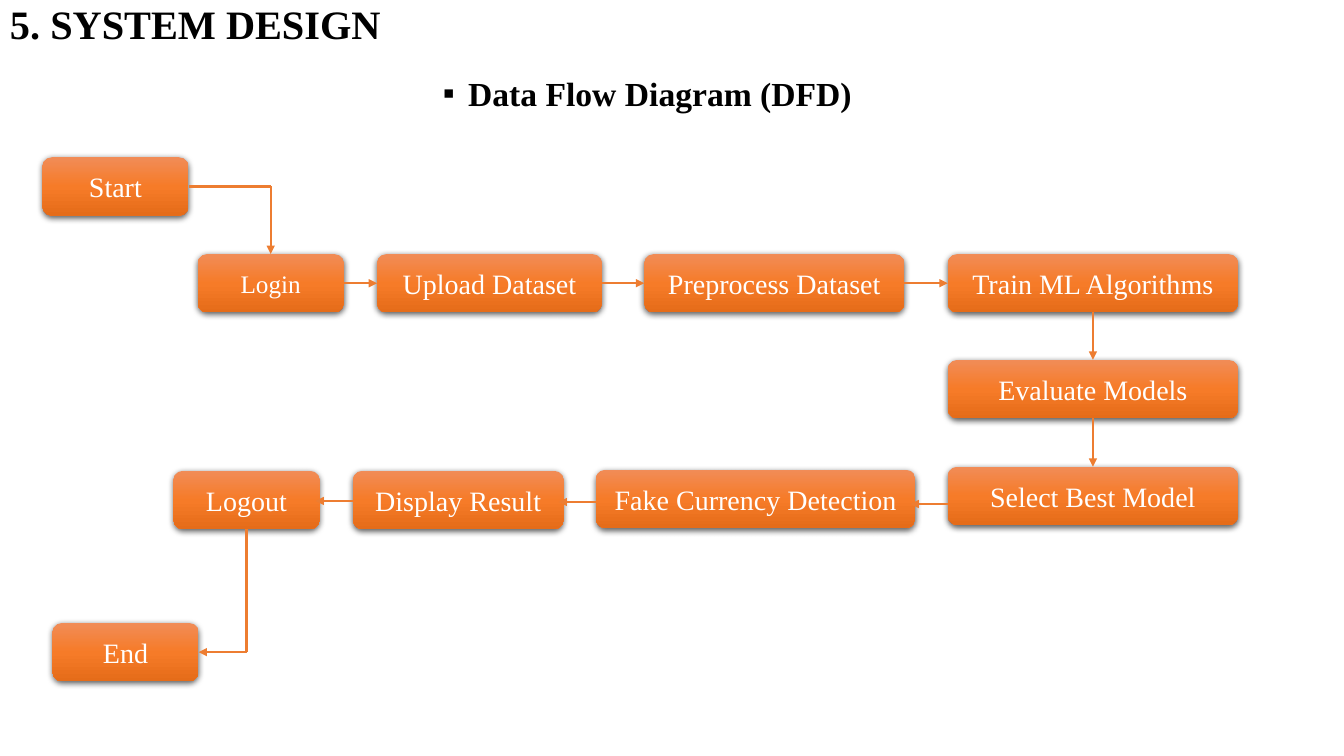
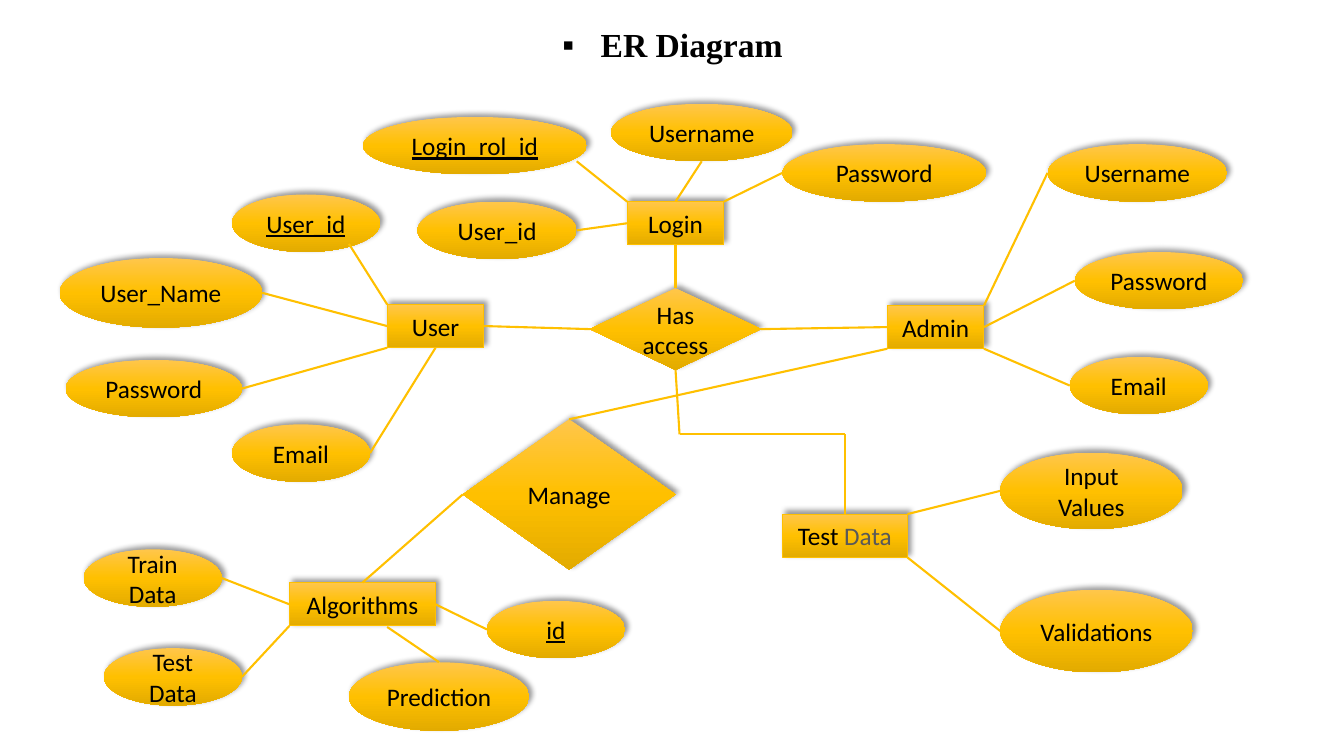
from lxml.etree import SubElement
from pptx import Presentation
from pptx.dml.color import RGBColor
from pptx.enum.shapes import MSO_CONNECTOR, MSO_SHAPE
from pptx.enum.text import MSO_ANCHOR, PP_ALIGN
from pptx.oxml.ns import qn
from pptx.util import Inches, Pt

COLORS = {
    "black": "000000", "white": "FFFFFF", "gray": "595959",
    "orange": "ED7D31", "orange_top": "F18C57", "orange_mid": "F67B28", "orange_low": "E56C19",
    "gold": "FFC000", "gold_top": "FFC64B", "gold_mid": "FFC000", "gold_low": "E3AB00",
}
SERIF, SANS = "Times New Roman", "Calibri"
SHADOWS = {"orange": (63, 4.5, 1.5, 90), "gold": (40, 4, 3, 315)}
ANCHORS = {
    "top": (0.5, 0), "left": (0, 0.5), "bottom": (0.5, 1), "right": (1, 0.5),
    "nw": (0, 0), "ne": (1, 0), "sw": (0, 1), "se": (1, 1), "arc_se": (0.79, 0.86),
}


def add_span(para, text, size=18, font=SANS, color="black", bold=False, underline=False):
    span = para.add_run()
    span.text = text
    span.font.size = Pt(size)
    span.font.name = font
    span.font.bold = bold
    span.font.underline = underline
    span.font.color.rgb = RGBColor.from_string(COLORS[color])


class DiagramDeck:
    """Hold the deck style and the current page, and draw diagram elements on it."""

    def __init__(self):
        self.deck = Presentation()
        self.deck.slide_width, self.deck.slide_height = Inches(13.33), Inches(7.5)
        self.page = None
        self.theme = None

    def new_page(self, theme):
        self.page = self.deck.slides.add_slide(self.deck.slide_layouts[6])
        self.theme = theme

    def heading(self, text, left, top, width, height, size=24, indent=0):
        box = self.page.shapes.add_textbox(*map(Inches, (left, top, width, height)))
        box.text_frame.word_wrap = True
        box.text_frame.vertical_anchor = MSO_ANCHOR.MIDDLE
        para = box.text_frame.paragraphs[0]
        para.line_spacing = 0.9
        if indent:
            para.alignment = PP_ALIGN.CENTER
            properties = para._p.get_or_add_pPr()
            properties.set("marL", str(Inches(indent)))
            properties.set("indent", str(-Inches(indent)))
            SubElement(properties, qn("a:buFont"), typeface=SERIF)
            SubElement(properties, qn("a:buChar"), char="▪")
        add_span(para, text, size=size, font=SERIF, bold=True)

    def node(self, kind, text, left, top, width, height, outline=False, **style):
        box = self.page.shapes.add_shape(kind, *map(Inches, (left, top, width, height)))
        self.paint(box)
        if outline:
            box.line.color.rgb = RGBColor.from_string(COLORS[self.theme])
            box.line.width = Pt(0.75)
        else:
            box.line.fill.background()
        para = box.text_frame.paragraphs[0]
        para.alignment = PP_ALIGN.CENTER
        add_span(para, text, **style)
        return box

    def paint(self, box):
        box.fill.gradient()
        box.fill.gradient_angle = 270
        stops = box._element.spPr.find(qn("a:gradFill")).find(qn("a:gsLst"))
        for stop in list(stops):
            stops.remove(stop)
        for position, level in ((0, "top"), (50000, "mid"), (100000, "low")):
            stop = SubElement(stops, qn("a:gs"), pos=str(position))
            SubElement(stop, qn("a:srgbClr"), val=COLORS[f"{self.theme}_{level}"])
        box.shadow.inherit = False
        alpha, blur, distance, angle = SHADOWS[self.theme]
        shadow = SubElement(
            box._element.spPr.find(qn("a:effectLst")), qn("a:outerShdw"),
            blurRad=str(Pt(blur)), dist=str(Pt(distance)), dir=str(angle * 60000),
            algn="ctr", rotWithShape="0")
        tone = SubElement(shadow, qn("a:srgbClr"), val=COLORS["black"])
        SubElement(tone, qn("a:alpha"), val=str(alpha * 1000))

    def line(self, start, end, arrow=False):
        link = self.page.shapes.add_connector(
            MSO_CONNECTOR.STRAIGHT, *map(Inches, (*start, *end)))
        link.line.color.rgb = RGBColor.from_string(COLORS[self.theme])
        link.line.width = Pt(1.5)
        if arrow:
            SubElement(link.line._get_or_add_ln(), qn("a:tailEnd"), type="triangle")
        SubElement(link._element.spPr, qn("a:effectLst"))


def anchor(box, side):
    across, down = ANCHORS[side]
    return ((box.left + across * box.width) / Inches(1),
            (box.top + down * box.height) / Inches(1))


def build_data_flow(diagram):
    diagram.new_page("orange")
    diagram.heading("5. SYSTEM DESIGN", 0, -0.03, 11.98, 0.58, size=28.8)
    diagram.heading("Data Flow Diagram (DFD)", 0.42, 0.72, 12, 0.46, indent=0.25)
    steps = [
        ("Start", 0.42, 1.56, 1.45), ("Login", 1.96, 2.52, 1.45),
        ("Upload Dataset", 3.74, 2.52, 2.23), ("Preprocess Dataset", 6.39, 2.52, 2.58),
        ("Train ML Algorithms", 9.4, 2.52, 2.88), ("Evaluate Models", 9.4, 3.57, 2.88),
        ("Select Best Model", 9.4, 4.63, 2.88), ("Fake Currency Detection", 5.91, 4.66, 3.17),
        ("Display Result", 3.5, 4.67, 2.09), ("Logout", 1.72, 4.67, 1.45),
        ("End", 0.52, 6.18, 1.45),
    ]
    boxes = {}
    for label, left, top, width in steps:
        boxes[label] = diagram.node(
            MSO_SHAPE.ROUNDED_RECTANGLE, label, left, top, width, 0.58,
            size=18 if label == "Login" else 20, font=SERIF, color="white")

    names = [step[0] for step in steps]
    for first, second in zip(names[1:4], names[2:5]):
        diagram.line(anchor(boxes[first], "right"), anchor(boxes[second], "left"), arrow=True)
    for first, second in zip(names[4:6], names[5:7]):
        diagram.line(anchor(boxes[first], "bottom"), anchor(boxes[second], "top"), arrow=True)
    for name, height in zip(names[6:9], (5, 4.98, 4.97)):
        left = anchor(boxes[name], "left")[0]
        diagram.line((left, height), (left - 0.37, height), arrow=True)

    start, login = anchor(boxes["Start"], "right"), anchor(boxes["Login"], "top")
    logout, end = anchor(boxes["Logout"], "bottom"), anchor(boxes["End"], "right")
    for begin, corner, finish in ((start, (login[0], start[1]), login),
                                  (logout, (logout[0], end[1]), end)):
        diagram.line(begin, corner)
        diagram.line(corner, finish, arrow=True)


def build_entity_relations(diagram):
    diagram.new_page("gold")
    diagram.heading("ER Diagram", 0.92, 0.09, 11.5, 0.75, indent=0.38)
    entities = {}
    for label, left, top, width in (
            ("Login", 6.22, 2, 0.96), ("Admin", 8.8, 3.03, 0.96), ("User", 3.84, 3.02, 0.96),
            ("Test", 7.76, 5.1, 1.24), ("Algorithms", 2.87, 5.78, 1.45)):
        entities[label] = diagram.node(
            MSO_SHAPE.RECTANGLE, label, left, top, width, 0.43, outline=True)
    add_span(entities["Test"].text_frame.paragraphs[0], " Data", color="gray")
    access = diagram.node(MSO_SHAPE.DIAMOND, "Has access", 5.85, 2.86, 1.7, 0.81)
    manage = diagram.node(MSO_SHAPE.DIAMOND, "Manage", 4.59, 4.16, 2.11, 1.49)

    attributes = [
        ("Login", "nw", "Login_rol_id", 3.6, 1.16, 2.22, 0.57, (5.72, 1.6)),
        ("Login", "top", "Username", 6.06, 1.03, 1.8, 0.57, "bottom"),
        ("Login", "ne", "Password", 7.76, 1.43, 2.02, 0.57, "left"),
        ("User", "nw", "User_id", 2.3, 1.93, 1.47, 0.57, "arc_se"),
        ("Login", "left", "User_id", 4.14, 2, 1.58, 0.57, "right"),
        ("User", "left", "User_Name", 0.59, 2.56, 2.01, 0.69, "right"),
        ("User", "sw", "Password", 0.65, 3.57, 1.75, 0.57, "right"),
        ("User", "bottom", "Email", 2.3, 4.21, 1.37, 0.57, "right"),
        ("Algorithms", "left", "Train Data", 0.83, 5.45, 1.37, 0.57, "right"),
        ("Algorithms", "sw", "Test Data", 1.03, 6.43, 1.37, 0.57, "right"),
        ("Algorithms", "right", "id", 4.83, 5.96, 1.37, 0.57, "left"),
        ("Algorithms", (3.84, 6.22), "Prediction", 3.46, 6.57, 1.79, 0.68, "top"),
        ("Test", "ne", "Input Values", 9.92, 4.49, 1.81, 0.76, "left"),
        ("Test", "se", "Validations", 9.92, 5.85, 1.91, 0.82, "left"),
        ("Admin", "ne", "Username", 10.39, 1.43, 1.78, 0.57, "left"),
        ("Admin", "right", "Password", 10.66, 2.5, 1.67, 0.57, "left"),
        ("Admin", "se", "Email", 10.61, 3.54, 1.37, 0.57, "left"),
    ]
    keys = {("Login", "Login_rol_id"), ("User", "User_id"), ("Algorithms", "id")}
    links = [
        (access, "top", entities["Login"], "bottom"),
        (access, "right", entities["Admin"], "left"),
        (access, "left", entities["User"], "right"),
        (manage, "left", entities["Algorithms"], "top"),
        (manage, "top", entities["Admin"], "sw"),
    ]
    for owner, owner_side, label, left, top, width, height, side in attributes:
        oval = diagram.node(MSO_SHAPE.OVAL, label, left, top, width, height,
                            underline=(owner, label) in keys)
        links.append((oval, side, entities[owner], owner_side))
    for first, first_side, second, second_side in links:
        ends = [side if isinstance(side, tuple) else anchor(box, side)
                for box, side in ((first, first_side), (second, second_side))]
        diagram.line(*ends)

    test_top = anchor(entities["Test"], "top")
    route = [anchor(access, "bottom"), (6.74, 4.31), (test_top[0], 4.31), test_top]
    for begin, finish in zip(route, route[1:]):
        diagram.line(begin, finish)


def main():
    diagram = DiagramDeck()
    build_data_flow(diagram)
    build_entity_relations(diagram)
    diagram.deck.save("out.pptx")


if __name__ == "__main__":
    main()
